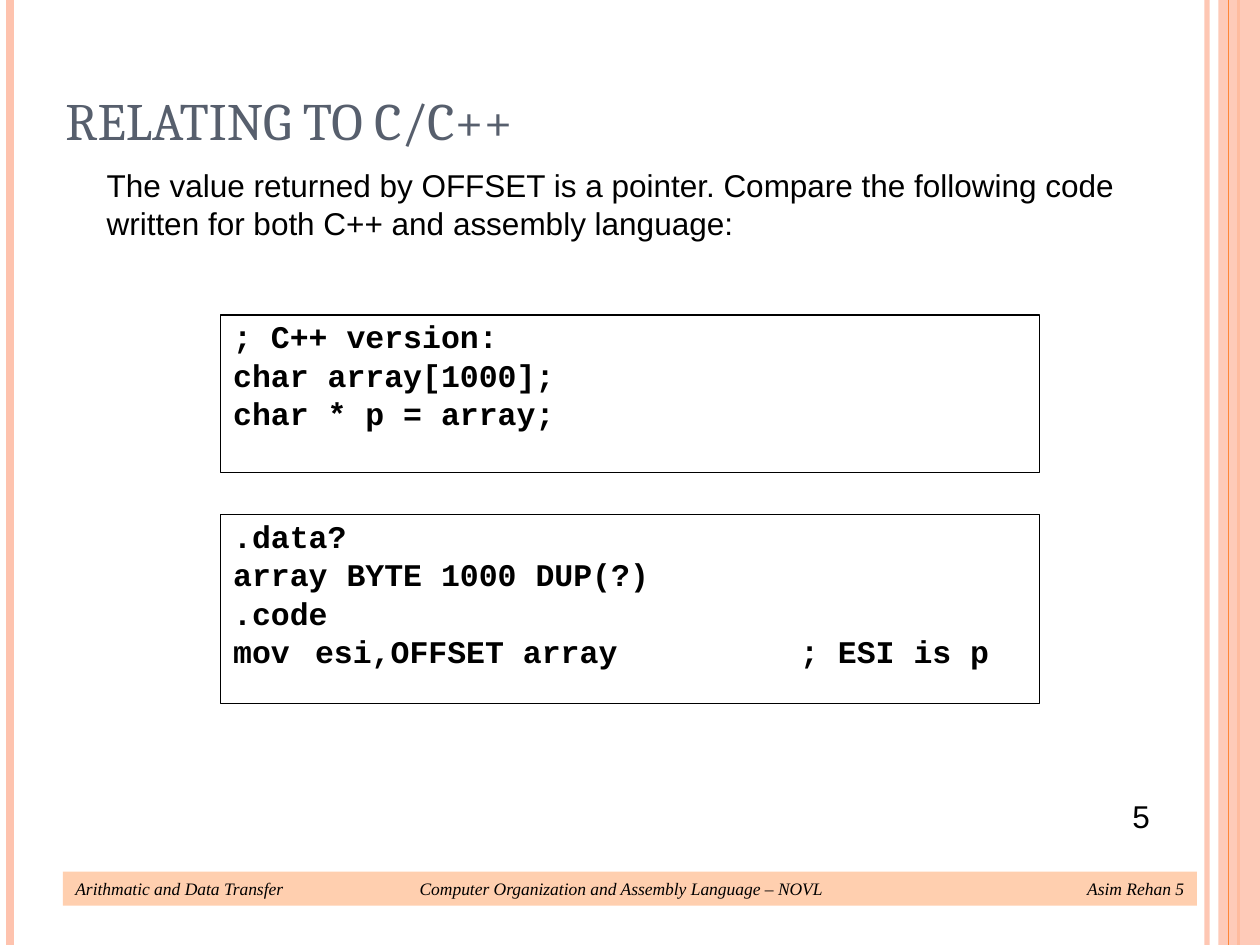
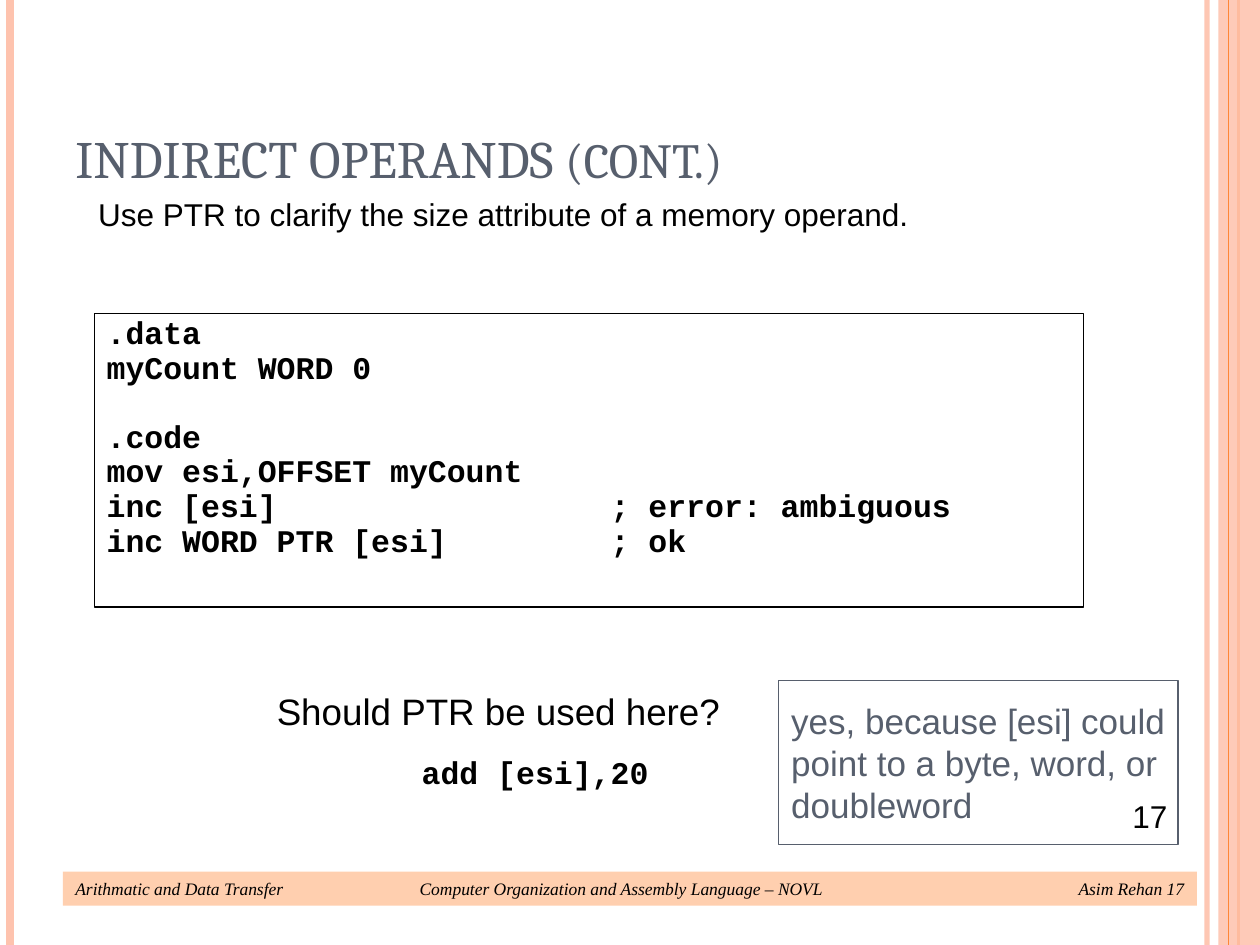
import lxml.etree
import pptx
import pptx.dml.color
import pptx.enum.shapes
import pptx.enum.text
import pptx.oxml.ns
import pptx.util

Cm, Pt = pptx.util.Cm, pptx.util.Pt
qn = pptx.oxml.ns.qn
RECT = pptx.enum.shapes.MSO_SHAPE.RECTANGLE
LINE = pptx.enum.shapes.MSO_CONNECTOR.STRAIGHT
TOP = pptx.enum.text.MSO_ANCHOR.TOP
BOTTOM = pptx.enum.text.MSO_ANCHOR.BOTTOM
LEFT = pptx.enum.text.PP_ALIGN.LEFT
NOFIT = pptx.enum.text.MSO_AUTO_SIZE.NONE

WIDE, HIGH = 25.4, 19.05
BLACK, SLATE, PEACH, ORANGE, SAND = "000000", "575F6D", "FEC3AE", "FE8637", "FFCFAF"

PROSE = {"name": "Arial", "size": Pt(18), "color": BLACK}
CODE = {"name": "Courier New", "size": Pt(18), "bold": True, "color": BLACK}
HEAD = {"name": "Cambria", "size": Pt(30), "bold": False, "color": SLATE}
FOOT = {"name": "Times New Roman", "size": Pt(10), "italic": True, "color": BLACK}
ASK = {**PROSE, "size": Pt(21)}
REPLY = {**PROSE, "size": Pt(20), "color": SLATE}


def hue(code):
    return pptx.dml.color.RGBColor.from_string(code)


def apply(thing, values):
    for key, value in values.items():
        if key == "color":
            thing.color.rgb = hue(value)
        else:
            setattr(thing, key, value)


def fade(shape, part):
    for color in shape._element.spPr.iter(qn("a:srgbClr")):
        alpha = lxml.etree.SubElement(color, qn("a:alpha"))
        alpha.set("val", str(part * 1000))


def frame(shape, top=0.38, base=0.38, anchor=TOP):
    body = shape.text_frame
    apply(body, {"word_wrap": True, "auto_size": NOFIT, "vertical_anchor": anchor,
                 "margin_left": Cm(0.25), "margin_right": Cm(0.25),
                 "margin_top": Cm(top), "margin_bottom": Cm(base)})
    return body


def tabs(para, stops):
    if not stops:
        return
    group = lxml.etree.SubElement(para._p.get_or_add_pPr(), qn("a:tabLst"))
    for place, side in stops:
        stop = lxml.etree.SubElement(group, qn("a:tab"))
        stop.set("pos", str(Cm(place)))
        stop.set("algn", side)


def write(para, runs, stops=(), **values):
    apply(para, {"alignment": LEFT, **values})
    tabs(para, stops)
    for text, font in runs:
        run = para.add_run()
        run.text = text
        apply(run.font, font)


def panel(slide, box, fill=None, edge=None):
    shape = slide.shapes.add_shape(RECT, *map(Cm, box))
    shape.shadow.inherit = False
    if fill:
        shape.fill.solid()
        shape.fill.fore_color.rgb = hue(fill)
    else:
        shape.fill.background()
    if edge:
        apply(shape.line, {"color": edge, "width": Pt(0.75)})
    else:
        shape.line.fill.background()
    return shape


def stripe(slide, left, color, width):
    line = slide.shapes.add_connector(LINE, Cm(left), Cm(0), Cm(left), Cm(HIGH))
    apply(line.line, {"color": color, "width": Pt(width)})
    lxml.etree.SubElement(line._element.spPr, qn("a:effectLst"))
    return line


def bands(slide):
    fade(stripe(slide, 24.33, PEACH, 3), 93)
    stripe(slide, 0.2, PEACH, 4.5)
    stripe(slide, 24.97, ORANGE, 1.5)
    fade(panel(slide, (24.56, 0, WIDE - 24.56, HIGH), PEACH), 87)
    stripe(slide, 24.77, ORANGE, 0.75)


def footer(slide, page):
    body = frame(panel(slide, (1.27, 17.57, 22.86, 0.69), SAND), 0.13, 0.13)
    text = ("Arithmatic and Data Transfer\tComputer Organization and Assembly "
            f"Language – NOVL\tAsim Rehan {page}")
    write(body.paragraphs[0], [(text, FOOT)], [(11, "ctr"), (22.35, "r")])


def prose(slide, box, text):
    body = frame(slide.shapes.add_textbox(*map(Cm, box)))
    write(body.paragraphs[0], [(text, PROSE)])


def number(slide, page):
    shape = slide.shapes.add_textbox(Cm(22.58), Cm(15.93), Cm(1.7), Cm(1.45))
    write(frame(shape, 0.13, 0.13).paragraphs[0], [(str(page), PROSE)])


def title(slide, box, runs):
    shape = slide.shapes.title
    apply(shape, dict(zip(("left", "top", "width", "height"), map(Cm, box))))
    write(frame(shape, 0.13, 0.13, BOTTOM).paragraphs[0], runs)


def code(slide, box, blocks, stops, pitch):
    body = frame(panel(slide, box, edge=BLACK), 0.38, 0.64)
    para = body.paragraphs[0]
    for order, block in enumerate(blocks):
        for row, text in enumerate(block):
            if order or row:
                para = body.add_paragraph()
            gap = 30.8 if order and not row else 11.2
            write(para, [(text, CODE)], stops, line_spacing=pitch, space_before=Pt(gap))


def query(slide, box):
    body = frame(slide.shapes.add_textbox(*map(Cm, box)))
    write(body.paragraphs[0], [("Should PTR be used here?", ASK)])
    write(body.add_paragraph(), [("\tadd [esi],20", CODE)], [(2.92, "l")],
          space_before=Pt(11.2))


def answer(slide, box):
    body = frame(panel(slide, box, edge=SLATE))
    write(body.paragraphs[0],
          [("yes, because [esi] could point to a byte, word, or doubleword", REPLY)])


def start(deck, page, box, runs):
    slide = deck.slides.add_slide(deck.slide_layouts[5])
    bands(slide)
    footer(slide, page)
    title(slide, box, runs)
    return slide


def relate(deck, page):
    slide = start(deck, page, (1.07, 0, 20.75, 3.18), [("RELATING TO C/C++", HEAD)])
    prose(slide, (1.9, 2.97, 21.39, 2.29),
          "The value returned by OFFSET is a pointer. Compare the following code "
          "written for both C++ and assembly language:")
    stops = [(1.27, "l"), (11.43, "l")]
    code(slide, (4.45, 6.35, 16.51, 3.18),
         [["; C++ version:", "char array[1000];", "char * p = array;"]], stops, 0.5)
    code(slide, (4.45, 10.37, 16.51, 3.81),
         [[".data?", "array BYTE 1000 DUP(?)", ".code",
           "mov\t esi,OFFSET array\t; ESI is p"]], stops, 0.5)
    number(slide, page)


def clarify(deck, page):
    slide = start(deck, page, (1.27, 0.76, 20.75, 3.18),
                  [("INDIRECT OPERANDS ", HEAD), ("(CONT.)", {**HEAD, "size": Pt(28)})])
    prose(slide, (1.73, 3.56, 22.58, 1.52),
          "Use PTR to clarify the size attribute of a memory operand.")
    code(slide, (1.9, 6.32, 19.94, 5.92),
         [[".data", "myCount WORD 0"],
          [".code", "mov esi,OFFSET myCount", "inc [esi]\t; error: ambiguous",
           "inc WORD PTR [esi]\t; ok"]], [(10.16, "l")], 0.4)
    query(slide, (5.33, 13.51, 14.6, 2.95))
    answer(slide, (15.7, 13.72, 8.05, 3.3))
    number(slide, page)


deck = pptx.Presentation()
apply(deck, {"slide_width": Cm(WIDE), "slide_height": Cm(HIGH)})
relate(deck, 5)
clarify(deck, 17)
deck.save("out.pptx")
